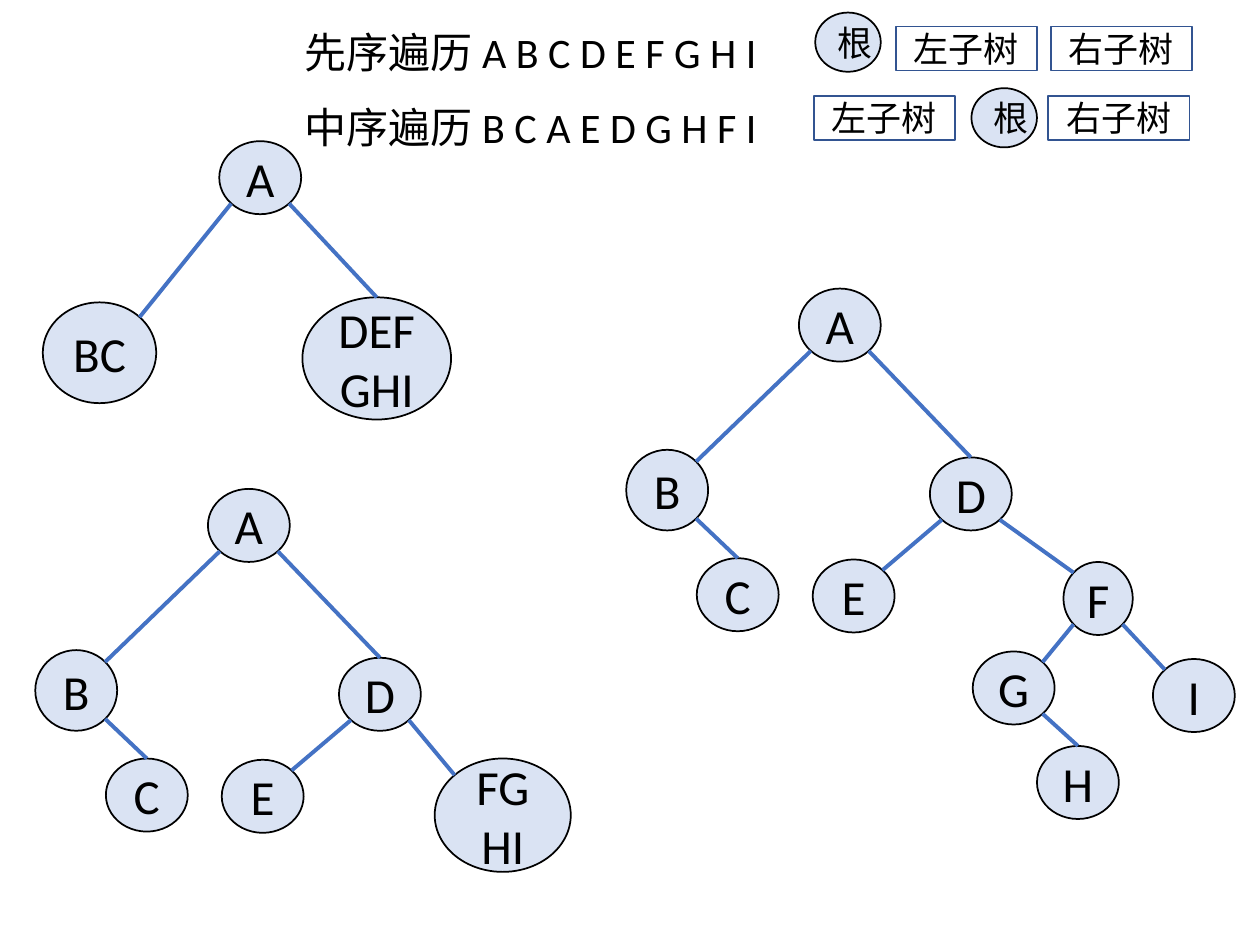
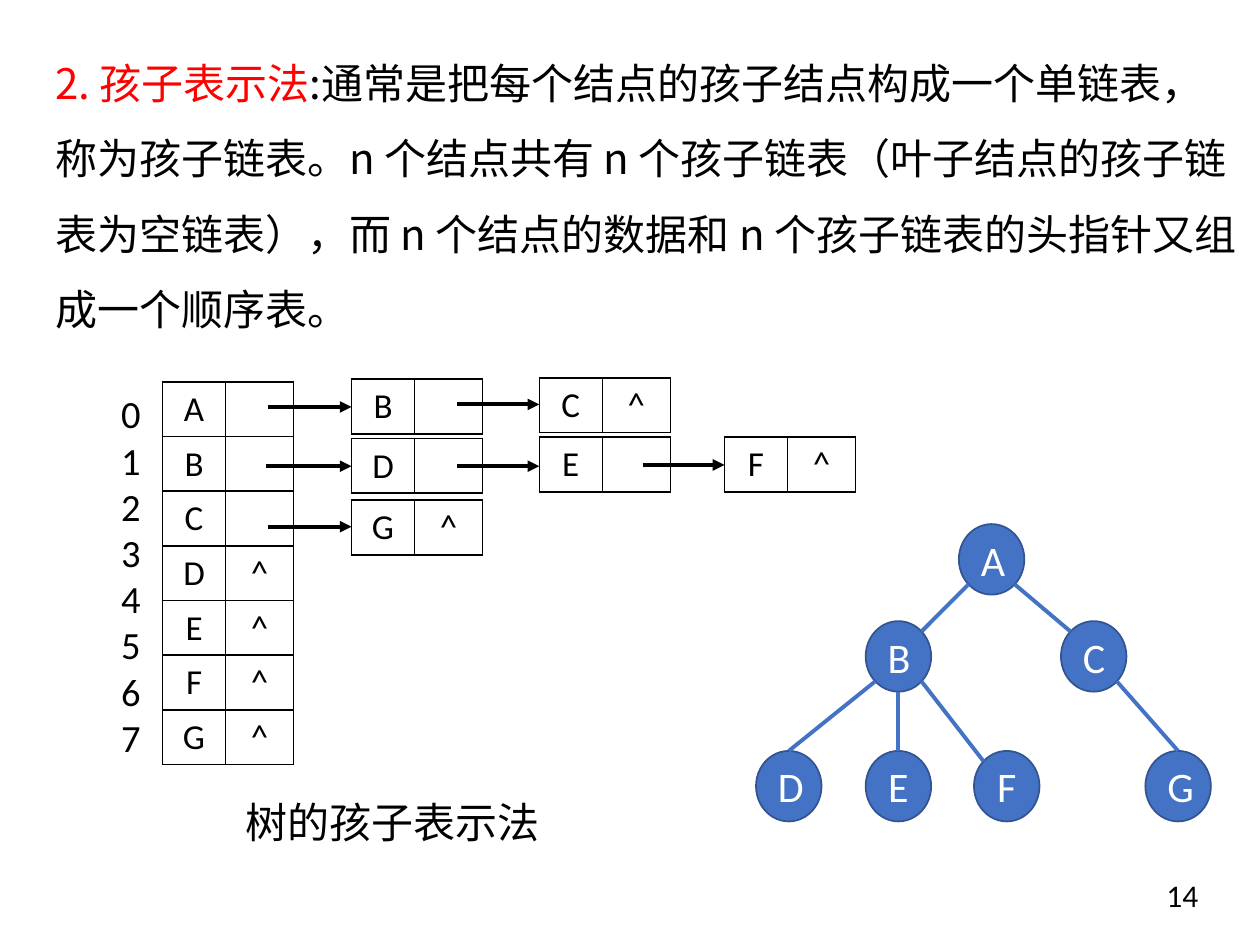
from dataclasses import dataclass
from typing import Any

import lxml.etree
import pptx
import pptx.dml.color
import pptx.enum.dml
import pptx.enum.shapes
import pptx.enum.text
import pptx.oxml.ns
import pptx.util
from pptx.util import Inches

RGBColor = pptx.dml.color.RGBColor
BLACK = RGBColor(0x00, 0x00, 0x00)
WHITE = RGBColor(0xFF, 0xFF, 0xFF)
RED = RGBColor(0xFF, 0x00, 0x00)
BLUE = RGBColor(0x44, 0x72, 0xC4)
NAVY = RGBColor(0x32, 0x54, 0x91)
PALE = RGBColor(0xDA, 0xE3, 0xF3)
LATIN = "Calibri"
HAN = "Noto Sans CJK SC"
OVAL = pptx.enum.shapes.MSO_SHAPE.OVAL
RECT = pptx.enum.shapes.MSO_SHAPE.RECTANGLE
CENTER = pptx.enum.text.PP_ALIGN.CENTER
MIDDLE = pptx.enum.text.MSO_ANCHOR.MIDDLE
DIAG = 0.5 ** 0.5
SITES = {
    "t": (0, -1), "b": (0, 1),
    "tl": (-DIAG, -DIAG), "tr": (DIAG, -DIAG),
    "bl": (-DIAG, DIAG), "br": (DIAG, DIAG),
}


@dataclass(frozen=True)
class Look:
    fill: RGBColor
    line: RGBColor
    ink: RGBColor
    size: int


@dataclass(frozen=True)
class Node:
    text: str
    x: float
    y: float
    w: float = 0.65
    h: float = 0.58


@dataclass(frozen=True)
class Link:
    top: str
    low: str
    start: str
    end: str


@dataclass(frozen=True)
class Grid:
    x: float
    y: float
    rows: tuple[str, ...]


@dataclass(frozen=True)
class Arrow:
    x: float
    y: float
    end: float


LIGHT = Look(PALE, BLACK, BLACK, 28)
ROOT = Look(PALE, BLACK, BLACK, 20)
SUB = Look(WHITE, NAVY, BLACK, 20)
DARK = Look(BLUE, NAVY, WHITE, 24)

FIRST = (
    Node("A", 1.74, 1.12),
    Node("BC", 0.34, 2.4, 0.9, 0.8),
    Node("DEF\nGHI", 2.4, 2.36, 1.18, 0.97),
)
FIRST_LINKS = (Link("A", "BC", "bl", "tr"), Link("A", "DEF\nGHI", "br", "t"))

BASE = (
    Node("A", 0, 0),
    Node("B", -1.37, 1.28, h=0.64),
    Node("D", 1.04, 1.34),
    Node("C", -0.81, 2.14),
    Node("E", 0.11, 2.15),
)
BASE_LINKS = (
    Link("A", "B", "bl", "tr"),
    Link("A", "D", "br", "t"),
    Link("B", "C", "br", "t"),
    Link("D", "E", "bl", "tr"),
)
PART = BASE + (Node("FGHI", 1.8, 2.14, 1.08, 0.9),)
PART_LINKS = BASE_LINKS + (Link("D", "FGHI", "br", "tl"),)
FULL = BASE + (
    Node("F", 2.1, 2.17, w=0.55),
    Node("I", 2.81, 2.94),
    Node("G", 1.38, 2.88),
    Node("H", 1.89, 3.63),
)
FULL_LINKS = BASE_LINKS + (
    Link("D", "F", "br", "tl"),
    Link("F", "G", "bl", "tr"),
    Link("G", "H", "br", "t"),
    Link("F", "I", "br", "tl"),
)

ROOTS = (Node("根", 6.47, 0.1, 0.52, 0.47), Node("根", 7.71, 0.7, 0.52, 0.47))
SUBS = tuple(
    Node(text, x, y, 1.12, 0.35)
    for text, x, y in (
        ("左子树", 7.11, 0.21), ("右子树", 8.34, 0.21),
        ("左子树", 6.46, 0.76), ("右子树", 8.32, 0.76),
    )
)

CHILD = tuple(
    Node(text, x, y, 0.52, 0.56)
    for text, x, y in (
        ("A", 7.61, 4.16), ("B", 6.87, 4.93), ("C", 8.42, 4.93),
        ("D", 6, 5.96), ("E", 6.87, 5.96), ("F", 7.73, 5.96), ("G", 9.09, 5.96),
    )
)
CHILD_LINKS = (
    Link("A", "B", "bl", "tr"),
    Link("A", "C", "br", "tl"),
    Link("B", "D", "bl", "t"),
    Link("B", "E", "b", "t"),
    Link("B", "F", "br", "tl"),
    Link("C", "G", "br", "t"),
)
GRIDS = (
    Grid(1.29, 3.03, ("A", "B", "C", "D^", "E^", "F^", "G^")),
    Grid(2.79, 3.01, ("B",)),
    Grid(4.28, 3, ("C^",)),
    Grid(2.79, 3.48, ("D",)),
    Grid(4.28, 3.47, ("E",)),
    Grid(2.79, 3.97, ("G^",)),
    Grid(5.75, 3.47, ("F^",)),
)
ARROWS = (
    Arrow(2.13, 3.23, 2.79), Arrow(2.11, 3.7, 2.79), Arrow(2.13, 4.18, 2.79),
    Arrow(3.63, 3.21, 4.28), Arrow(3.63, 3.7, 4.28), Arrow(5.1, 3.69, 5.75),
)


def apply(item: Any, form: dict[str, Any]) -> None:
    for name, value in form.items():
        setattr(item, name, value)


def ink(font: Any, size: float, color: RGBColor, face: str = LATIN) -> None:
    apply(font, {"size": pptx.util.Pt(size), "name": face})
    font.color.rgb = color


def write(frame: Any, text: str, size: float, color: RGBColor,
          face: str = LATIN, form: dict[str, Any] | None = None) -> None:
    frame.text = text
    for para in frame.paragraphs:
        apply(para, form or {})
        for run in para.runs:
            ink(run.font, size, color, face)


def draw_node(slide: Any, node: Node, look: Look, kind: Any = OVAL,
              dx: float = 0, dy: float = 0) -> Any:
    shape = slide.shapes.add_shape(
        kind, Inches(node.x + dx), Inches(node.y + dy), Inches(node.w), Inches(node.h))
    shape.shadow.inherit = False
    shape.fill.solid()
    shape.fill.fore_color.rgb = look.fill
    shape.line.color.rgb = look.line
    shape.line.width = pptx.util.Pt(1)
    apply(shape.text_frame, {"word_wrap": True, "vertical_anchor": MIDDLE})
    write(shape.text_frame, node.text, look.size, look.ink, form={"alignment": CENTER})
    return shape


def draw_line(slide: Any, start: tuple[int, int], end: tuple[int, int],
              color: RGBColor) -> Any:
    line = slide.shapes.add_connector(
        pptx.enum.shapes.MSO_CONNECTOR.STRAIGHT, *start, *end)
    line.line.color.rgb = color
    line.line.width = pptx.util.Pt(2.25)
    props = line._element.spPr
    lxml.etree.SubElement(props, pptx.oxml.ns.qn("a:effectLst"))
    return line


def site(shape: Any, key: str) -> tuple[int, int]:
    x, y = SITES[key]
    return (round(shape.left + shape.width * (1 + x) / 2),
            round(shape.top + shape.height * (1 + y) / 2))


def draw_tree(slide: Any, nodes: tuple[Node, ...], links: tuple[Link, ...],
              look: Look, dx: float = 0, dy: float = 0) -> None:
    shapes = {node.text: draw_node(slide, node, look, OVAL, dx, dy) for node in nodes}
    for link in links:
        top, low = shapes[link.top], shapes[link.low]
        line = draw_line(slide, site(top, link.start), site(low, link.end), BLUE)
        if link.end == "t":
            line.end_connect(low, 0)


def draw_arrow(slide: Any, arrow: Arrow) -> None:
    y = Inches(arrow.y)
    line = draw_line(slide, (Inches(arrow.x), y), (Inches(arrow.end), y), BLACK)
    tip = lxml.etree.SubElement(line.line._get_or_add_ln(), pptx.oxml.ns.qn("a:tailEnd"))
    tip.set("type", "triangle")


def edge(cell: Any) -> None:
    props = cell._tc.get_or_add_tcPr()
    for side in ("lnL", "lnR", "lnT", "lnB"):
        line = lxml.etree.SubElement(props, pptx.oxml.ns.qn(f"a:{side}"), w="12700")
        fill = lxml.etree.SubElement(line, pptx.oxml.ns.qn("a:solidFill"))
        lxml.etree.SubElement(fill, pptx.oxml.ns.qn("a:srgbClr"), val=str(BLACK))


def draw_grid(slide: Any, grid: Grid) -> None:
    count = len(grid.rows)
    table = slide.shapes.add_table(
        count, 2, Inches(grid.x), Inches(grid.y),
        Inches(1.04), Inches(3.03 / 7 * count)).table
    apply(table, {"first_row": False, "horz_banding": False})
    for col, width in zip(table.columns, (0.5, 0.54)):
        col.width = Inches(width)
    for r, row in enumerate(grid.rows):
        for c in range(2):
            cell = table.cell(r, c)
            edge(cell)
            cell.fill.background()
            write(cell.text_frame, row[c:c + 1], 20, BLACK, form={"alignment": CENTER})


def draw_text(slide: Any, box: tuple[float, ...], text: str, size: float,
              face: str = LATIN, wrap: bool = True, **form: Any) -> Any:
    frame = slide.shapes.add_textbox(*map(Inches, box)).text_frame
    frame.word_wrap = wrap
    write(frame, text, size, BLACK, face, form)
    return frame


def walk_slide(slide: Any) -> None:
    draw_tree(slide, FIRST, FIRST_LINKS, LIGHT)
    draw_tree(slide, PART, PART_LINKS, LIGHT, 1.65, 3.88)
    draw_tree(slide, FULL, FULL_LINKS, LIGHT, 6.34, 2.29)
    draw_text(slide, (2.32, -0.04, 4.13, 1.25),
              "先序遍历 A B C D E F G H I\n中序遍历 B C A E D G H F I", 24,
              line_spacing=1.5)
    for node in ROOTS:
        draw_node(slide, node, ROOT)
    for node in SUBS:
        draw_node(slide, node, SUB, RECT)


def child_slide(slide: Any) -> None:
    frame = draw_text(slide, (0.34, 0.21, 9.58, 2.45), "2. 孩子表示法", 24, HAN,
                      line_spacing=pptx.util.Pt(43))
    para = frame.paragraphs[0]
    para.runs[0].font.color.rgb = RED
    run = para.add_run()
    run.text = (":通常是把每个结点的孩子结点构成一个单链表，称为孩子链表。"
                "n 个结点共有 n 个孩子链表（叶子结点的孩子链表为空链表），"
                "而 n 个结点的数据和 n 个孩子链表的头指针又组成一个顺序表。")
    ink(run.font, 24, BLACK, HAN)
    draw_tree(slide, CHILD, CHILD_LINKS, DARK)
    for grid in GRIDS:
        draw_grid(slide, grid)
    draw_text(slide, (0.86, 3.05, 0.36, 3.06), "\n".join(map(str, range(8))), 22,
              wrap=False, alignment=CENTER)
    for arrow in ARROWS:
        draw_arrow(slide, arrow)
    draw_text(slide, (1.85, 6.27, 2.56, 0.5), "树的孩子表示法", 24, HAN, wrap=False)
    draw_text(slide, (9.16, 6.9, 1.13, 0.4), "14", 18)


def main() -> None:
    deck = pptx.Presentation()
    apply(deck, {"slide_width": Inches(10), "slide_height": Inches(7.5)})
    for build in (walk_slide, child_slide):
        build(deck.slides.add_slide(deck.slide_layouts[6]))
    deck.save("out.pptx")


if __name__ == "__main__":
    main()
